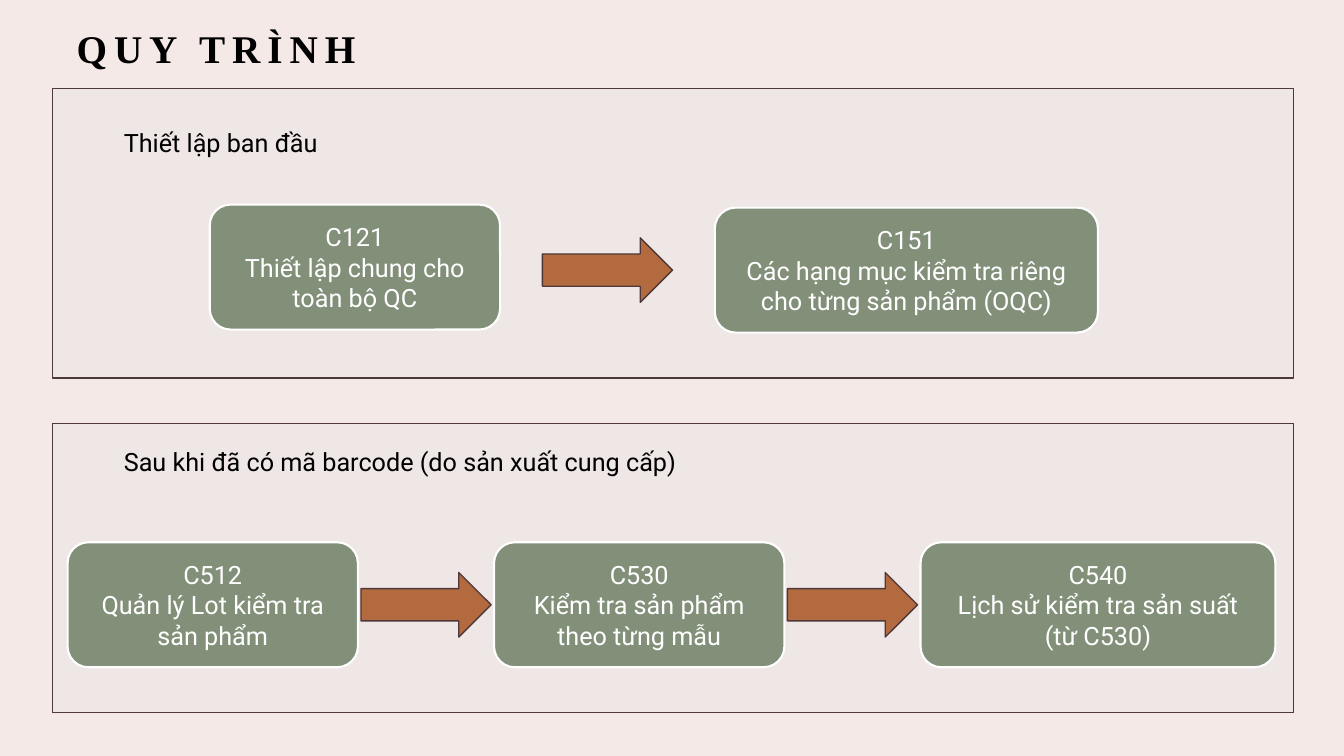
from pptx import Presentation
from pptx.dml.color import RGBColor
from pptx.enum.shapes import MSO_SHAPE
from pptx.enum.text import MSO_ANCHOR, MSO_AUTO_SIZE, PP_ALIGN
from pptx.util import Inches, Pt

TITLE = "QUY TRÌNH"
PANELS = [
    {
        "top": 0.88, "heading": "Thiết lập ban đầu", "heading_top": 1.21, "heading_width": 2.88,
        "steps": [
            (2.08, 2.03, 2.88, ["C121", "Thiết lập chung cho toàn bộ QC"]),
            (7.09, 2.06, 3.8, ["C151", "Các hạng mục kiểm tra riêng cho từng sản phẩm (OQC)"]),
        ],
    },
    {
        "top": 4.2, "heading": "Sau khi đã có mã barcode (do sản xuất cung cấp)",
        "heading_top": 4.38, "heading_width": 8.19,
        "steps": [
            (0.67, 5.38, 2.88, ["C512", "Quản lý Lot kiểm tra sản phẩm"]),
            (4.9, 5.38, 2.88, ["C530", "Kiểm tra sản phẩm theo từng mẫu"]),
            (9.13, 5.38, 3.52, ["C540", "Lịch sử kiểm tra sản suất", "(từ C530)"]),
        ],
    },
]

BACKGROUND = RGBColor(0xF4, 0xE9, 0xE6)
PANEL = RGBColor(0xEF, 0xE6, 0xE6)
OUTLINE = RGBColor(0x4E, 0x38, 0x39)
GREEN = RGBColor(0x82, 0x90, 0x7A)
ORANGE = RGBColor(0xB2, 0x6A, 0x3E)
WHITE = RGBColor(0xFF, 0xFF, 0xFF)
BLACK = RGBColor(0, 0, 0)

PANEL_LEFT, PANEL_W, PANEL_H = 0.52, 12.31, 2.87
HEADING_LEFT, HEADING_H = 1.13, 0.4
STEP_H = 1.24
ARROW_W, ARROW_H = 1.29, 0.64


def box(*lengths):
    return [Inches(v) for v in lengths]


def add_shape(slide, kind, at, fill, line, width):
    sp = slide.shapes.add_shape(kind, *box(*at))
    sp.shadow.inherit = False
    sp.fill.solid()
    sp.fill.fore_color.rgb = fill
    sp.line.color.rgb = line
    sp.line.width = Pt(width)
    return sp


def add_run(p, text, color, size=18, name="Roboto"):
    r = p.add_run()
    r.text = text
    r.font.size = Pt(size)
    r.font.name = name
    r.font.color.rgb = color
    return r


def add_title(slide):
    sp = slide.shapes.title
    sp.left, sp.top, sp.width, sp.height = box(0.66, 0.07, PANEL_W, 0.71)
    tf = sp.text_frame
    tf.vertical_anchor = MSO_ANCHOR.MIDDLE
    p = tf.paragraphs[0]
    p.alignment = PP_ALIGN.LEFT
    p.line_spacing = 1.2
    r = add_run(p, TITLE, BLACK, 28, "Times New Roman")
    r.font.bold = True
    r.font._element.set("spc", "500")


def add_heading(slide, panel):
    sp = slide.shapes.add_textbox(
        *box(HEADING_LEFT, panel["heading_top"], panel["heading_width"], HEADING_H))
    tf = sp.text_frame
    tf.word_wrap = True
    tf.auto_size = MSO_AUTO_SIZE.SHAPE_TO_FIT_TEXT
    add_run(tf.paragraphs[0], panel["heading"], BLACK)


def add_step(slide, left, top, width, lines):
    sp = add_shape(slide, MSO_SHAPE.ROUNDED_RECTANGLE, (left, top, width, STEP_H), GREEN, WHITE, 1.5)
    tf = sp.text_frame
    tf.word_wrap = True
    tf.vertical_anchor = MSO_ANCHOR.MIDDLE
    p = tf.paragraphs[0]
    p.alignment = PP_ALIGN.CENTER
    for i, line in enumerate(lines):
        if i:
            p.add_line_break()
        add_run(p, line, WHITE)


def add_arrow(slide, before, after):
    gap_middle = (before[0] + before[2] + after[0]) / 2
    row_middle = after[1] + STEP_H / 2
    at = (gap_middle - ARROW_W / 2, row_middle - ARROW_H / 2, ARROW_W, ARROW_H)
    add_shape(slide, MSO_SHAPE.RIGHT_ARROW, at, ORANGE, OUTLINE, 1)


def main():
    prs = Presentation()
    prs.slide_width, prs.slide_height = box(13.33, 7.5)
    slide = prs.slides.add_slide(prs.slide_layouts[5])
    slide.background.fill.solid()
    slide.background.fill.fore_color.rgb = BACKGROUND
    add_title(slide)
    for panel in PANELS:
        at = (PANEL_LEFT, panel["top"], PANEL_W, PANEL_H)
        add_shape(slide, MSO_SHAPE.RECTANGLE, at, PANEL, OUTLINE, 1)
        add_heading(slide, panel)
        steps = panel["steps"]
        for step in steps:
            add_step(slide, *step)
        for before, after in zip(steps, steps[1:]):
            add_arrow(slide, before, after)
    prs.save("out.pptx")


if __name__ == "__main__":
    main()
